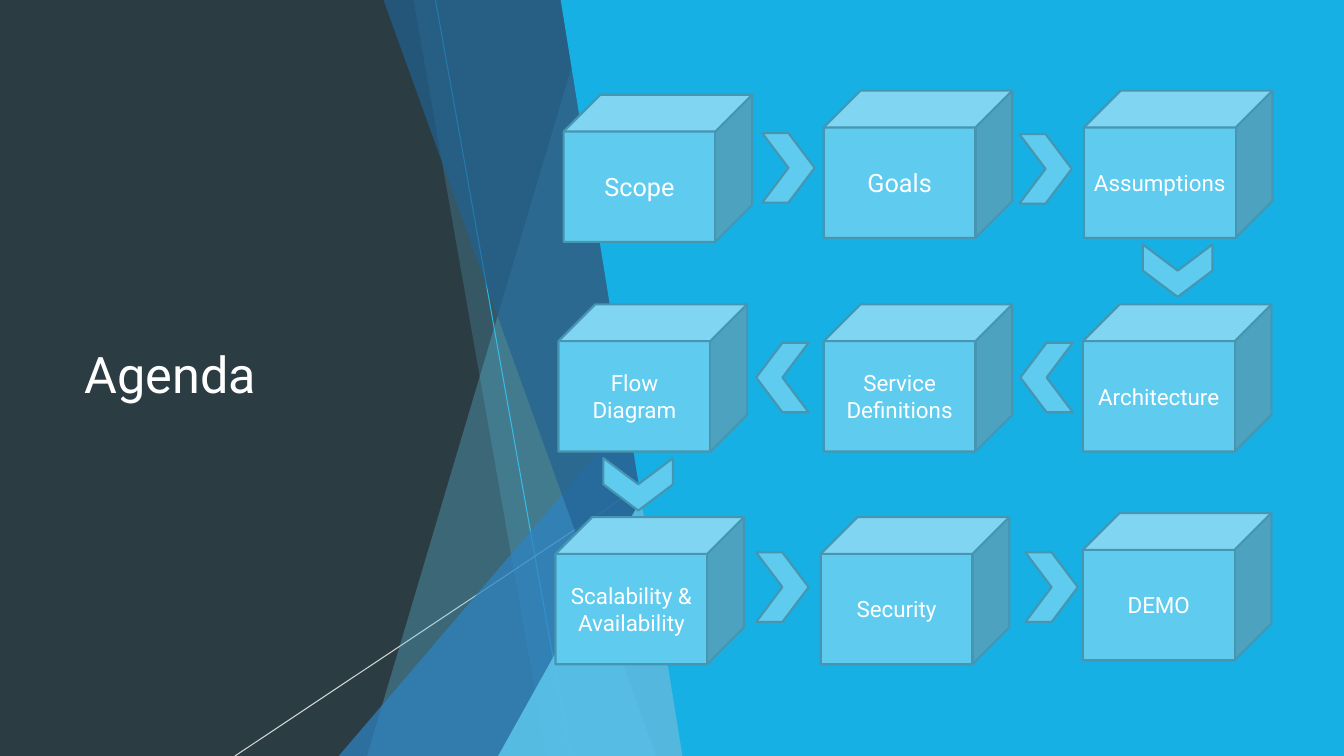
from pptx import Presentation
from pptx.dml.color import RGBColor
from pptx.enum.shapes import MSO_CONNECTOR, MSO_SHAPE
from pptx.enum.text import MSO_ANCHOR, PP_ALIGN
from pptx.oxml.ns import qn
from pptx.util import Inches, Pt
from lxml.etree import SubElement


def color(code):
    return RGBColor.from_string(code)


class Deck:
    font = "Roboto"
    white, dark, sky = "FFFFFF", "2C3C43", "17B0E4"
    light, edge, blue, navy = "5FCBEF", "4696B1", "2E83C3", "226292"

    def __init__(self):
        self.prs = Presentation()
        self.prs.slide_width = Inches(13.33)
        self.prs.slide_height = Inches(7.5)
        self.slide = self.prs.slides.add_slide(self.prs.slide_layouts[6])
        back = self.slide.background.fill
        back.solid()
        back.fore_color.rgb = color(self.dark)

    def fade(self, item, alpha):
        if alpha < 100:
            tone = next(item.element.spPr.iter(qn("a:srgbClr")))
            SubElement(tone, qn("a:alpha")).set("val", str(alpha * 1000))

    def paint(self, item, fill, alpha=100):
        item.shadow.inherit = False
        item.fill.solid()
        item.fill.fore_color.rgb = color(fill)
        item.line.fill.background()
        self.fade(item, alpha)

    def facet(self, points, fill, alpha=100):
        spots = [(Inches(x), Inches(y)) for x, y in points]
        path = self.slide.shapes.build_freeform(*spots[0], scale=1.0)
        path.add_line_segments(spots[1:], close=True)
        self.paint(path.convert_to_shape(), fill, alpha)

    def shape(self, kind, box, fill, alpha=100):
        item = self.slide.shapes.add_shape(kind, *map(Inches, box))
        self.paint(item, fill, alpha)
        return item

    def wedge(self, box, fill, alpha):
        item = self.shape(MSO_SHAPE.ISOSCELES_TRIANGLE, box, fill, alpha)
        item.adjustments[0] = 1

    def line(self, start, end, tone, alpha=100):
        item = self.slide.shapes.add_connector(
            MSO_CONNECTOR.STRAIGHT, *map(Inches, start + end))
        item.line.width = Pt(0.75)
        item.line.color.rgb = color(tone)
        self.fade(item, alpha)
        SubElement(item.element.spPr, qn("a:effectLst"))

    def text(self, item, words, size, align):
        frame = item.text_frame
        frame.word_wrap = True
        frame.vertical_anchor = MSO_ANCHOR.MIDDLE
        para = frame.paragraphs[0]
        para.alignment = align
        run = para.add_run()
        run.text = words
        run.font.name = self.font
        run.font.size = Pt(size)
        run.font.color.rgb = color(self.white)

    def title(self, words, box):
        item = self.slide.shapes.add_textbox(*map(Inches, box))
        self.text(item, words, 36, PP_ALIGN.LEFT)

    def block(self, kind, box):
        item = self.shape(kind, box, self.light)
        item.line.color.rgb = color(self.edge)
        item.line.width = Pt(1.5)
        return item

    def cube(self, words, x, y, size=16):
        item = self.block(MSO_SHAPE.CUBE, (x, y, 1.87, 1.46))
        self.text(item, words, size, PP_ALIGN.CENTER)

    def arrow(self, x, y, turn=0):
        item = self.block(MSO_SHAPE.CHEVRON, (x, y, 0.52, 0.69))
        item.rotation = turn


def main():
    deck = Deck()
    top, base, right = -0.01, 7.5, 6.92

    # Backdrop lines and see-through facets
    deck.line((4.32, 0), (5.66, base), deck.sky)
    deck.line((7.54, 4.03), (2.33, base), deck.white, 80)

    def band(high, low, fill, alpha):
        deck.facet([(high, top), (right, top), (right, base), (low, base)],
                   fill, alpha)

    band(5.87, 3.64, deck.light, 30)
    band(4.1, 5.42, deck.light, 20)
    deck.wedge((3.36, 3.33, 3.56, 4.17), deck.blue, 72)
    band(3.8, 6.51, deck.navy, 70)
    deck.wedge((4.94, 3.93, 1.99, 3.57), deck.light, 80)

    # Bright panel behind the steps
    deck.facet([(5.56, top), (right, top), (right, 0), (13.33, 0),
                (13.33, base), (6.77, base)], deck.sky)

    deck.title("Agenda", (0.74, 0.67, 4.2, 6.06))

    # Agenda steps, row by row
    steps = [
        ("Scope", 5.59, 0.94, 18), ("Goals", 8.17, 0.9, 18),
        ("Assumptions", 10.75, 0.9),
        ("Flow Diagram", 5.54, 3.02), ("Service Definitions", 8.17, 3.02),
        ("Architecture", 10.74, 3.02),
        ("Scalability & Availability", 5.51, 5.13), ("Security", 8.14, 5.13),
        ("DEMO", 10.74, 5.09),
    ]
    for step in steps:
        deck.cube(*step)

    # Chevrons along the winding route
    route = [
        (7.56, 1.32), (10.11, 1.33), (11.42, 2.34, 90),
        (10.12, 3.4, 180), (7.5, 3.4, 180), (6.07, 4.46, 90),
        (7.5, 5.48), (10.17, 5.48),
    ]
    for stop in route:
        deck.arrow(*stop)

    deck.prs.save("out.pptx")


if __name__ == "__main__":
    main()
